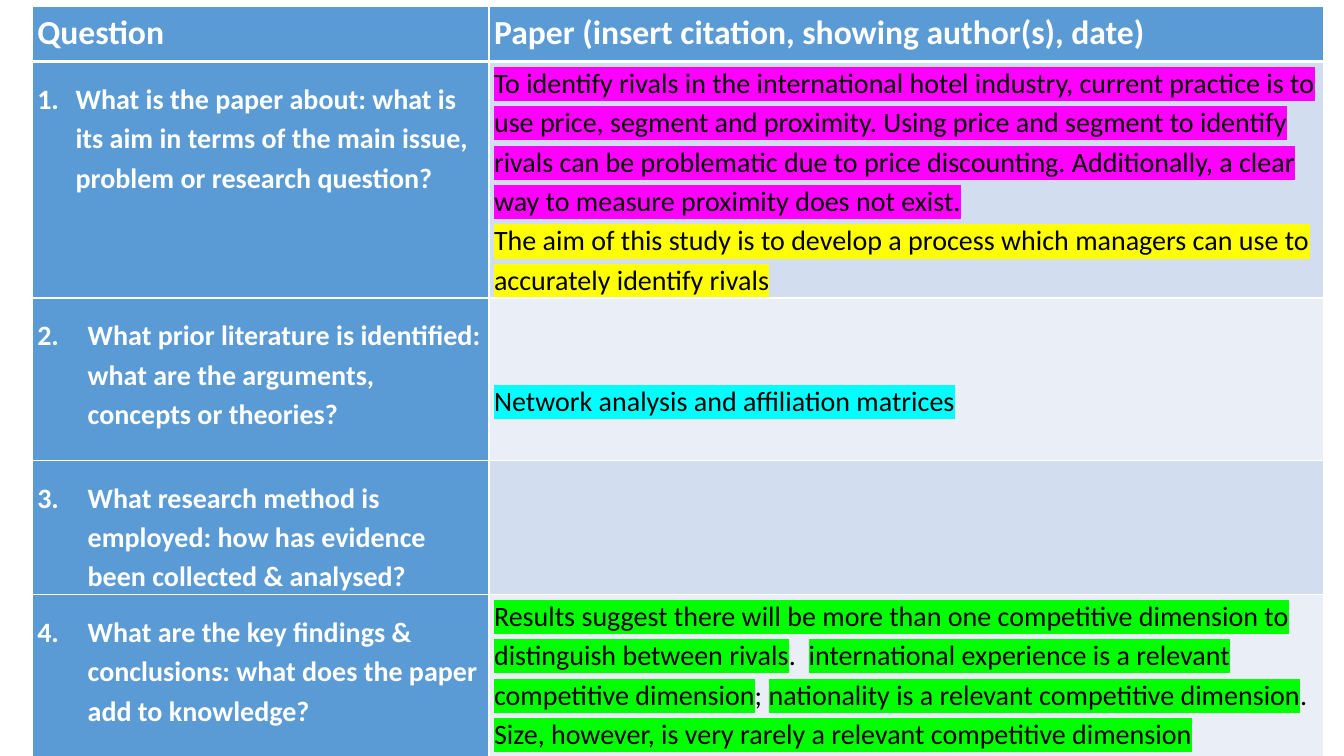
from dataclasses import dataclass

from lxml import etree
from pptx import Presentation
from pptx import util as u
from pptx.dml.color import RGBColor
from pptx.oxml import ns

WHITE = RGBColor(0xFF, 0xFF, 0xFF)
BLACK = RGBColor(0, 0, 0)
BLUE = RGBColor(0x5B, 0x9B, 0xD5)
BAND_DARK = RGBColor(0xD2, 0xDE, 0xEF)
BAND_LIGHT = RGBColor(0xEA, 0xEF, 0xF7)
MAGENTA = RGBColor(0xFF, 0, 0xFF)
YELLOW = RGBColor(0xFF, 0xFF, 0)
CYAN = RGBColor(0, 0xFF, 0xFF)
GREEN = RGBColor(0, 0xFF, 0)

COLUMN_WIDTHS = (4.53, 8.28)
HEADINGS = ("Question", "Paper (insert citation, showing author(s), date)")
HEADER_HEIGHT = 0.55
QUESTION_TOP = 0.16


@dataclass(frozen=True)
class Span:
    text: str
    highlight: RGBColor | None = None


@dataclass(frozen=True)
class ReviewRow:
    height: float
    question: str
    answer: tuple[tuple[Span, ...], ...] = ()
    indent: float = 0.5
    answer_top: float = 0
    question_bottom: float = 0


REVIEW_ROWS = (
    ReviewRow(
        2.2,
        "What is the paper about: what is its aim in terms of the main issue, "
        "problem or research question?",
        (
            (Span("To identify rivals in the international hotel industry, current "
                  "practice is to use price, segment and proximity. Using price and "
                  "segment to identify rivals can be problematic due to price "
                  "discounting. Additionally, a clear way to measure proximity does "
                  "not exist.", MAGENTA),),
            (Span("The aim of this study is to develop a process which managers can "
                  "use to accurately identify rivals", YELLOW),),
        ),
        indent=0.38,
    ),
    ReviewRow(
        1.61,
        "What prior literature is identified: what are the arguments, concepts or theories?",
        ((Span("Network analysis and affiliation matrices", CYAN),),),
        answer_top=0.81,
    ),
    ReviewRow(
        1.28,
        "What research method is employed: how has evidence been collected & analysed?",
    ),
    ReviewRow(
        1.55,
        "What are the key findings & conclusions: what does the paper add to knowledge?",
        ((
            Span("Results suggest there will be more than one competitive dimension to "
                 "distinguish between rivals", GREEN),
            Span(".  "),
            Span("international experience is a relevant competitive dimension", GREEN),
            Span("; "),
            Span("nationality is a relevant competitive dimension", GREEN),
            Span(". "),
            Span("Size, however, is very rarely a relevant competitive dimension", GREEN),
        ),),
        question_bottom=0.31,
    ),
)


def add_color(parent, color: RGBColor) -> None:
    etree.SubElement(parent, ns.qn("a:srgbClr"), val=str(color))


def add_text(paragraph, content: str, *, size: float = 20, color: RGBColor = BLACK,
             bold: bool = False, highlight: RGBColor | None = None) -> None:
    run = paragraph.add_run()
    run.text = content
    run.font.size = u.Pt(size)
    run.font.bold = bold
    run.font.color.rgb = color
    if highlight is not None:
        mark = etree.SubElement(run.font._element, ns.qn("a:highlight"))
        add_color(mark, highlight)
    run.font.name = "Calibri"


def format_paragraph(paragraph, indent: float = 0, number: int | None = None) -> None:
    """Set line spacing, a hanging indent and an optional list number."""
    paragraph.line_spacing = 1.15
    properties = paragraph._p.get_or_add_pPr()
    properties.set("marL", str(u.Inches(indent)))
    properties.set("indent", str(u.Inches(-indent)))
    if number is not None:
        etree.SubElement(properties, ns.qn("a:buAutoNum"),
                         type="arabicPeriod", startAt=str(number))


def style_cell(cell, fill: RGBColor, *, top: float = 0, bottom: float = 0,
               top_line: float = 1, bottom_line: float = 1) -> None:
    cell.margin_left = cell.margin_right = u.Inches(0.05)
    cell.margin_top = u.Inches(top)
    cell.margin_bottom = u.Inches(bottom)
    properties = cell._tc.get_or_add_tcPr()
    for side, width in (("L", 1), ("R", 1), ("T", top_line), ("B", bottom_line)):
        line = etree.SubElement(properties, ns.qn(f"a:ln{side}"), w=str(u.Pt(width)))
        add_color(etree.SubElement(line, ns.qn("a:solidFill")), WHITE)
    cell.fill.solid()
    cell.fill.fore_color.rgb = fill


def fill_header(table) -> None:
    for column, heading in enumerate(HEADINGS):
        cell = table.cell(0, column)
        style_cell(cell, BLUE, bottom_line=3)
        paragraph = cell.text_frame.paragraphs[0]
        format_paragraph(paragraph, indent=0.25)
        add_text(paragraph, heading, size=24, color=WHITE, bold=True)


def fill_review_row(table, number: int, row: ReviewRow) -> None:
    top_line = 3 if number == 1 else 1
    question, answer = table.cell(number, 0), table.cell(number, 1)
    style_cell(question, BLUE, top=QUESTION_TOP, bottom=row.question_bottom,
               top_line=top_line)
    paragraph = question.text_frame.paragraphs[0]
    format_paragraph(paragraph, row.indent, number)
    add_text(paragraph, row.question, color=WHITE, bold=True)

    style_cell(answer, BAND_DARK if number % 2 else BAND_LIGHT,
               top=row.answer_top, top_line=top_line)
    for index, spans in enumerate(row.answer):
        frame = answer.text_frame
        paragraph = frame.add_paragraph() if index else frame.paragraphs[0]
        format_paragraph(paragraph)
        for span in spans:
            add_text(paragraph, span.text, highlight=span.highlight)


def main() -> None:
    presentation = Presentation()
    presentation.slide_width = u.Inches(13.33)
    presentation.slide_height = u.Inches(7.5)
    slide = presentation.slides.add_slide(presentation.slide_layouts[6])

    heights = (HEADER_HEIGHT, *(row.height for row in REVIEW_ROWS))
    table = slide.shapes.add_table(
        len(heights), len(COLUMN_WIDTHS), u.Inches(0.32), u.Inches(0.06),
        u.Inches(sum(COLUMN_WIDTHS)), u.Inches(sum(heights))).table
    table.horz_banding = False
    for column, width in zip(table.columns, COLUMN_WIDTHS):
        column.width = u.Inches(width)
    for table_row, height in zip(table.rows, heights):
        table_row.height = u.Inches(height)

    fill_header(table)
    for number, row in enumerate(REVIEW_ROWS, start=1):
        fill_review_row(table, number, row)
    presentation.save("out.pptx")


if __name__ == "__main__":
    main()
